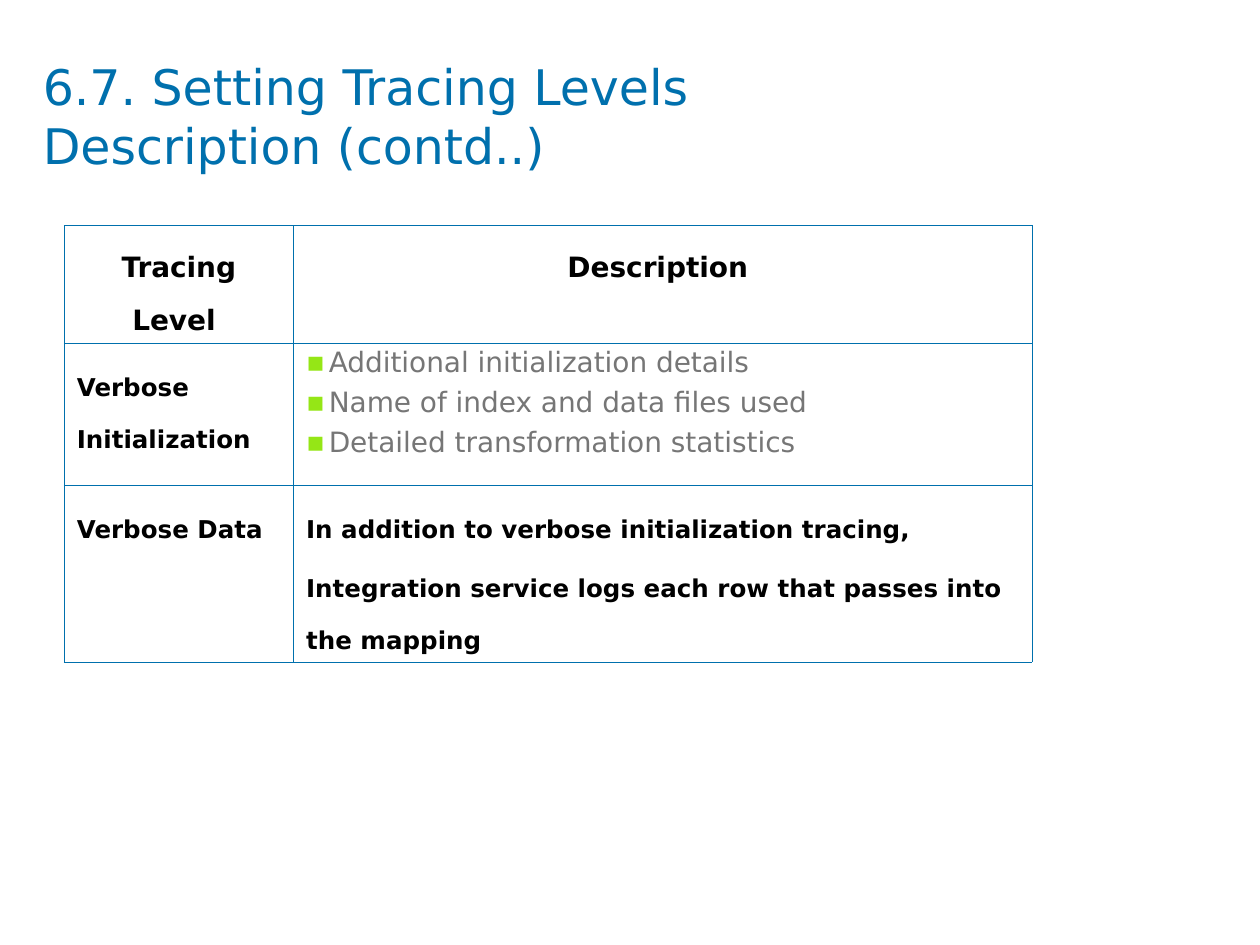
from lxml import etree
from pptx import Presentation
from pptx.dml.color import RGBColor
from pptx.enum.text import MSO_ANCHOR, PP_ALIGN
from pptx.oxml.ns import qn
from pptx.util import Inches, Pt

TOP = MSO_ANCHOR.TOP
LEFT, CENTER = PP_ALIGN.LEFT, PP_ALIGN.CENTER

FONT = "DejaVu Sans"
COLORS = {"blue": "0070AD", "black": "000000", "grey": "767676", "green": "95E616"}
BORDER_WIDTH = Pt(0.34)

# Text formats: paragraph values, font values, colour and bullet
HEADER = {
    "paragraph": {"alignment": CENTER, "line_spacing": Pt(30)},
    "font": {"size": Pt(16), "bold": True},
    "color": "black",
}
BODY = {
    "paragraph": {"alignment": LEFT, "line_spacing": Pt(30)},
    "font": {"size": Pt(14), "bold": True},
    "color": "black",
    "gap": Pt(3.5),
}
BULLETS = {
    "paragraph": {"alignment": LEFT, "line_spacing": 0.9, "space_after": Pt(6)},
    "font": {"size": Pt(16), "bold": False},
    "color": "grey",
    "bullet": "▪",
}
TITLE = {
    "paragraph": {"alignment": LEFT},
    "font": {"size": Pt(28), "bold": False},
    "color": "blue",
}

COLUMN_WIDTHS = [1.82, 5.86]
ROW_HEIGHTS = [0.93, 1.13, 1.4]
TRACING_LEVELS = [
    [(HEADER, ["Tracing Level "]), (HEADER, ["Description "])],
    [
        (BODY, ["Verbose Initialization"]),
        (BULLETS, [
            "Additional initialization details",
            "Name of index and data files used",
            "Detailed transformation statistics",
        ]),
    ],
    [
        (BODY, ["Verbose Data"]),
        (BODY, [
            "In addition to verbose initialization tracing,",
            "Integration service logs each row that passes into the mapping",
        ]),
    ],
]


def set_values(target, values):
    for name, value in values.items():
        setattr(target, name, value)


def add_color(parent, color):
    etree.SubElement(parent, qn("a:srgbClr"), val=COLORS[color])


def add_bullet(paragraph, character):
    properties = paragraph._p.get_or_add_pPr()
    indent = Inches(0.18)
    properties.set("marL", str(indent))
    properties.set("indent", str(-indent))
    add_color(etree.SubElement(properties, qn("a:buClr")), "green")
    etree.SubElement(properties, qn("a:buFont"), typeface=FONT)
    etree.SubElement(properties, qn("a:buChar"), char=character)


def write_text(frame, lines, style):
    for index, line in enumerate(lines):
        paragraph = frame.add_paragraph() if index else frame.paragraphs[0]
        paragraph.text = line
        if "bullet" in style:
            add_bullet(paragraph, style["bullet"])
        set_values(paragraph, style["paragraph"])
        if index and "gap" in style:
            paragraph.space_before = style["gap"]
        for run in paragraph.runs:
            set_values(run.font, {"name": FONT, **style["font"]})
            run.font.color.rgb = RGBColor.from_string(COLORS[style["color"]])


def add_borders(cell):
    properties = cell._tc.get_or_add_tcPr()
    for side in ("a:lnL", "a:lnR", "a:lnT", "a:lnB"):
        line = etree.SubElement(properties, qn(side), w=str(BORDER_WIDTH))
        add_color(etree.SubElement(line, qn("a:solidFill")), "blue")


def add_title(slide, left, top, width, height):
    box = slide.shapes.add_textbox(left, top, width, height)
    frame = box.text_frame
    set_values(frame, {
        "word_wrap": True, "vertical_anchor": TOP,
        "margin_left": 0, "margin_right": 0, "margin_top": 0, "margin_bottom": 0,
    })
    write_text(frame, ["6.7. Setting Tracing Levels\vDescription (contd..)"], TITLE)


def add_levels_table(slide, left, top, width, height):
    levels = slide.shapes.add_table(
        len(ROW_HEIGHTS), len(COLUMN_WIDTHS), left, top, width, height
    ).table
    set_values(levels, {"first_row": False, "horz_banding": False})
    for column, share in zip(levels.columns, COLUMN_WIDTHS):
        column.width = int(width * share / sum(COLUMN_WIDTHS))
    for row, share in zip(levels.rows, ROW_HEIGHTS):
        row.height = int(height * share / sum(ROW_HEIGHTS))
    for row, contents in zip(levels.rows, TRACING_LEVELS):
        for cell, (style, lines) in zip(row.cells, contents):
            add_borders(cell)
            cell.fill.background()
            cell.vertical_anchor = TOP
            write_text(cell.text_frame, lines, style)


def main():
    deck = Presentation()
    deck.slide_width, deck.slide_height = Inches(10), Inches(7.5)
    slide = deck.slides.add_slide(deck.slide_layouts[6])
    add_title(slide, Inches(0.34), Inches(0.45), Inches(9.33), Inches(0.94))
    add_levels_table(slide, Inches(0.51), Inches(1.79), Inches(7.68), Inches(3.46))
    deck.save("out.pptx")


if __name__ == "__main__":
    main()
